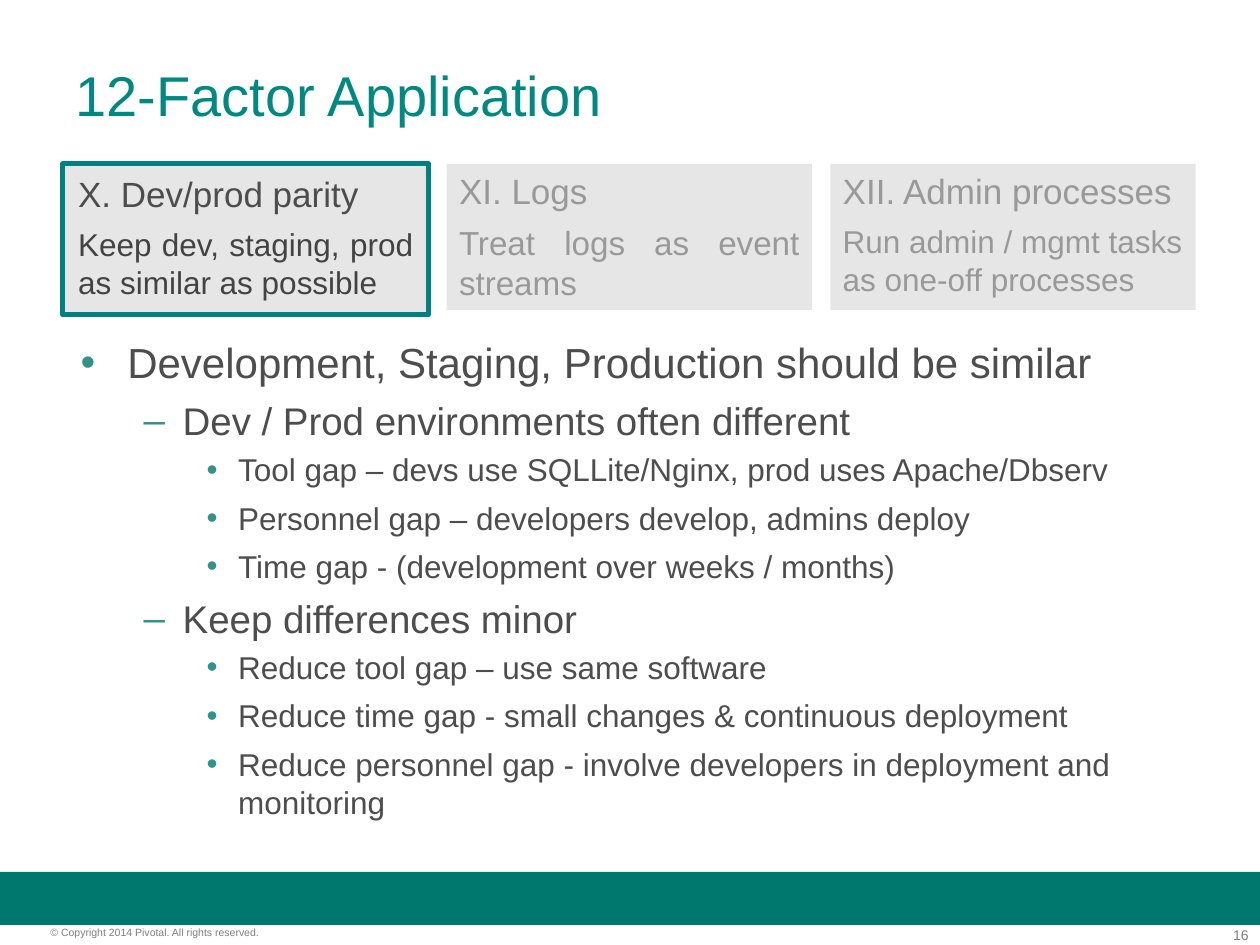
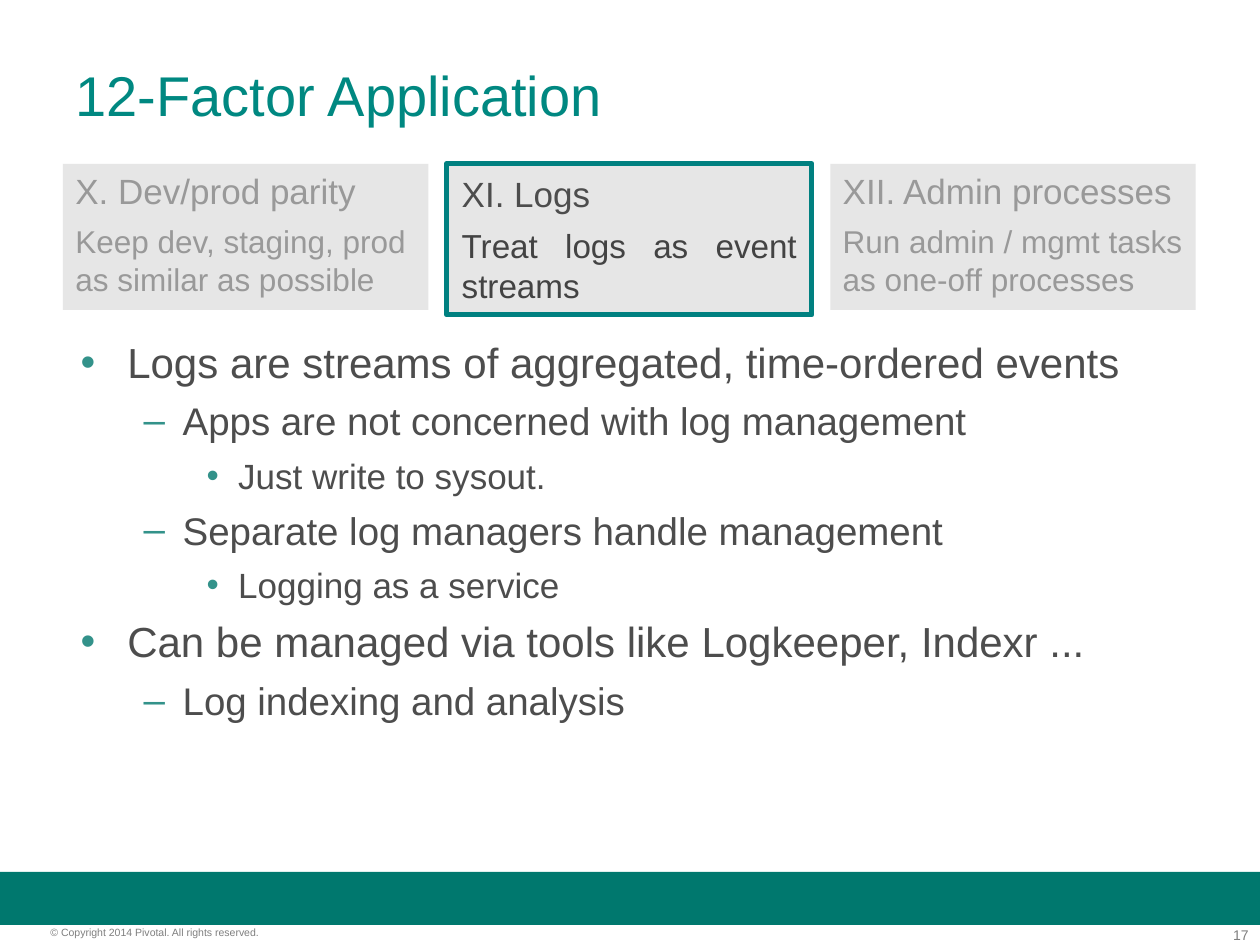
from lxml import etree
from pptx import Presentation
from pptx.dml.color import RGBColor
from pptx.enum.shapes import MSO_SHAPE
from pptx.enum.text import MSO_ANCHOR, MSO_AUTO_SIZE, PP_ALIGN
from pptx.oxml.ns import qn
from pptx.util import Inches, Pt

RECTANGLE = MSO_SHAPE.RECTANGLE
LEFT, RIGHT, JUSTIFY = PP_ALIGN.LEFT, PP_ALIGN.RIGHT, PP_ALIGN.JUSTIFY
TOP, MIDDLE = MSO_ANCHOR.TOP, MSO_ANCHOR.MIDDLE
NO_AUTOFIT = MSO_AUTO_SIZE.NONE

FONT = "Arial"
COLORS = {
    "title": "008881",
    "band": "00786E",
    "bullet": "33928A",
    "text": "4D4D4D",
    "footer": "7F7F7F",
    "card": "E6E6E6",
    "muted": "999999",
    "outline": "008080",
    "active_text": "434343",
}
GRID_COLUMNS, GRID_ROWS = 100, 75
CARD_LEFT, CARD_TOP, CARD_WIDTH, CARD_STEP = 5, 13, 29, 30.45
PARAGRAPH_GAP = 6
# Bullet, left margin and hanging indent (inches) of each list level
LEVELS = [("•", 0.37, 0.37), ("–", 0.81, 0.31), ("•", 1.25, 0.25)]

# Heading, description, description size, description always justified
FACTORS = [
    ("X. Dev/prod parity", "Keep dev, staging, prod as similar as possible", 18, False),
    ("XI. Logs", "Treat logs as event streams", 19, True),
    ("XII. Admin processes", "Run admin / mgmt tasks as one-off processes", 18, False),
]
PARITY_POINTS = [
    (0, "Development, Staging, Production should be similar"),
    (1, "Dev / Prod environments often different"),
    (2, "Tool gap – devs use SQLLite/Nginx, prod uses Apache/Dbserv"),
    (2, "Personnel gap – developers develop, admins deploy"),
    (2, "Time gap - (development over weeks / months)"),
    (1, "Keep differences minor"),
    (2, "Reduce tool gap – use same software"),
    (2, "Reduce time gap - small changes & continuous deployment"),
    (2, "Reduce personnel gap - involve developers in deployment and monitoring"),
]
LOG_POINTS = [
    (0, "Logs are streams of aggregated, time-ordered events"),
    (1, "Apps are not concerned with log management"),
    (2, "Just write to sysout."),
    (1, "Separate log managers handle management"),
    (2, "Logging as a service"),
    (0, "Can be managed via tools like Logkeeper, Indexr ..."),
    (1, "Log indexing and analysis"),
]


def color(name):
    return RGBColor.from_string(COLORS[name])


def add_bullet(paragraph, level):
    character, margin, hanging = LEVELS[level]
    paragraph.level = level
    properties = paragraph._p.get_or_add_pPr()
    properties.set("marL", str(Inches(margin)))
    properties.set("indent", str(-Inches(hanging)))
    bullet_color = etree.SubElement(properties, qn("a:buClr"))
    etree.SubElement(bullet_color, qn("a:srgbClr"), val=COLORS["bullet"])
    etree.SubElement(properties, qn("a:buFont"), typeface=FONT)
    etree.SubElement(properties, qn("a:buChar"), char=character)


class Deck:
    """Holds the shared style and the slide being built; lengths are grid columns and rows."""

    def __init__(self):
        self.presentation = Presentation()
        self.presentation.slide_width = Inches(10)
        self.presentation.slide_height = Inches(7.5)
        self.column = self.presentation.slide_width / GRID_COLUMNS
        self.row = self.presentation.slide_height / GRID_ROWS
        self.slide = None

    def area(self, left, top, width, height):
        return (round(left * self.column), round(top * self.row),
                round(width * self.column), round(height * self.row))

    def place(self, shape, *area):
        shape.left, shape.top, shape.width, shape.height = self.area(*area)

    def frame(self, shape, horizontal=0.1, vertical=0.05, anchor=TOP):
        text_frame = shape.text_frame
        text_frame.word_wrap = True
        text_frame.auto_size = NO_AUTOFIT
        text_frame.vertical_anchor = anchor
        text_frame.margin_left = text_frame.margin_right = Inches(horizontal)
        text_frame.margin_top = text_frame.margin_bottom = Inches(vertical)
        return text_frame

    def style(self, paragraph, size, color_name, alignment=LEFT, space_before=0):
        paragraph.alignment = alignment
        paragraph.space_before = Pt(space_before)
        for run in paragraph.runs:
            run.font.name = FONT
            run.font.size = Pt(size)
            run.font.color.rgb = color(color_name)

    def rectangle(self, fill, *area):
        shape = self.slide.shapes.add_shape(RECTANGLE, *self.area(*area))
        shape.shadow.inherit = False
        shape.fill.solid()
        shape.fill.fore_color.rgb = color(fill)
        shape.line.fill.background()
        return shape

    def footer_text(self, text, size, alignment, *area):
        shape = self.slide.shapes.add_textbox(*self.area(*area))
        text_frame = self.frame(shape, 0, 0)
        text_frame.text = text
        self.style(text_frame.paragraphs[0], size, "footer", alignment)

    def new_slide(self, title, number):
        self.slide = self.presentation.slides.add_slide(self.presentation.slide_layouts[1])
        self.rectangle("band", 0, 69.2, GRID_COLUMNS, 4.2)
        self.footer_text(str(number), 8, RIGHT, 93.3, 73.5, 5.8, 1.3)
        self.footer_text("© Copyright 2014 Pivotal. All rights reserved.", 6, LEFT,
                         4, 73.5, 24.9, 1)
        shape = self.slide.shapes.title
        self.place(shape, 5, 3, 90, 9)
        text_frame = self.frame(shape, anchor=MIDDLE)
        text_frame.text = title
        self.style(text_frame.paragraphs[0], 32, "title")

    def bullets(self, points, height, detail_size, detail_spacing):
        """Fill the body; detail_spacing is the line spacing of the first item in a detail group."""
        shape = self.slide.placeholders[1]
        self.place(shape, 5.4, 26.2, 90, height)
        text_frame = self.frame(shape)
        text_frame.text = "\n".join(text for _, text in points)
        sizes = (24, 22, detail_size)
        previous_level = None
        for paragraph, (level, _) in zip(text_frame.paragraphs, points):
            add_bullet(paragraph, level)
            gap = 0 if previous_level is None else PARAGRAPH_GAP
            self.style(paragraph, sizes[level], "text", space_before=gap)
            if level == 2 and previous_level == 1:
                paragraph.line_spacing = detail_spacing
            previous_level = level

    def factor_card(self, index, active):
        heading, description, size, justified = FACTORS[index]
        card = self.rectangle("card", CARD_LEFT + index * CARD_STEP, CARD_TOP,
                              CARD_WIDTH, 12 if active else 11.6)
        if active:
            card.line.color.rgb = color("outline")
            card.line.width = Pt(2.89)
        text_frame = self.frame(card, *((0.12, 0.07) if active else (0.1, 0.05)))
        text_frame.text = f"{heading}\n{description}"
        first, second = text_frame.paragraphs
        self.style(first, 20, "text" if active else "muted", JUSTIFY)
        self.style(second, size, "active_text" if active else "muted",
                   JUSTIFY if active or justified else LEFT, PARAGRAPH_GAP)

    def factor_slide(self, number, active, points, height, detail_size, detail_spacing=1.0):
        self.new_slide("12-Factor Application", number)
        self.bullets(points, height, detail_size, detail_spacing)
        for index in range(len(FACTORS)):
            self.factor_card(index, index == active)


def main():
    deck = Deck()
    deck.factor_slide(16, 0, PARITY_POINTS, 40, 18, detail_spacing=0.9)
    deck.factor_slide(17, 1, LOG_POINTS, 31.7, 20)
    deck.presentation.save("out.pptx")


if __name__ == "__main__":
    main()
